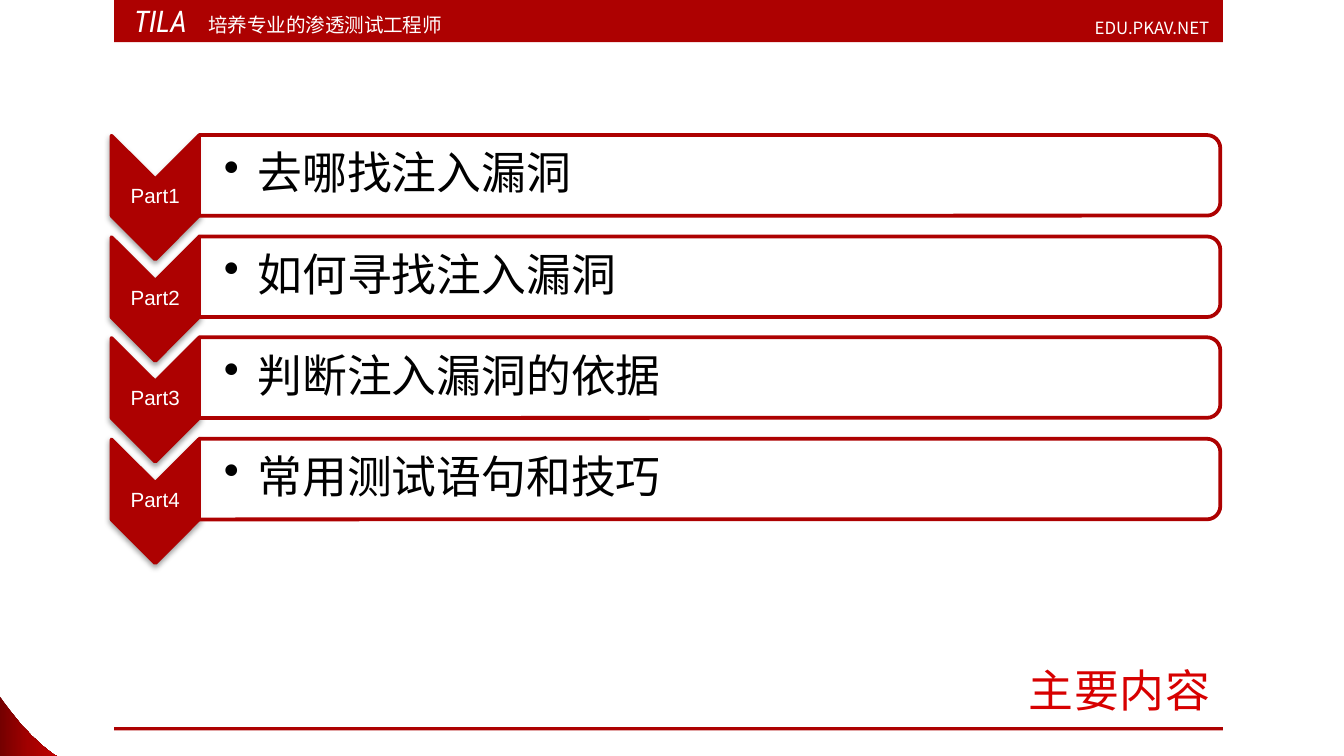
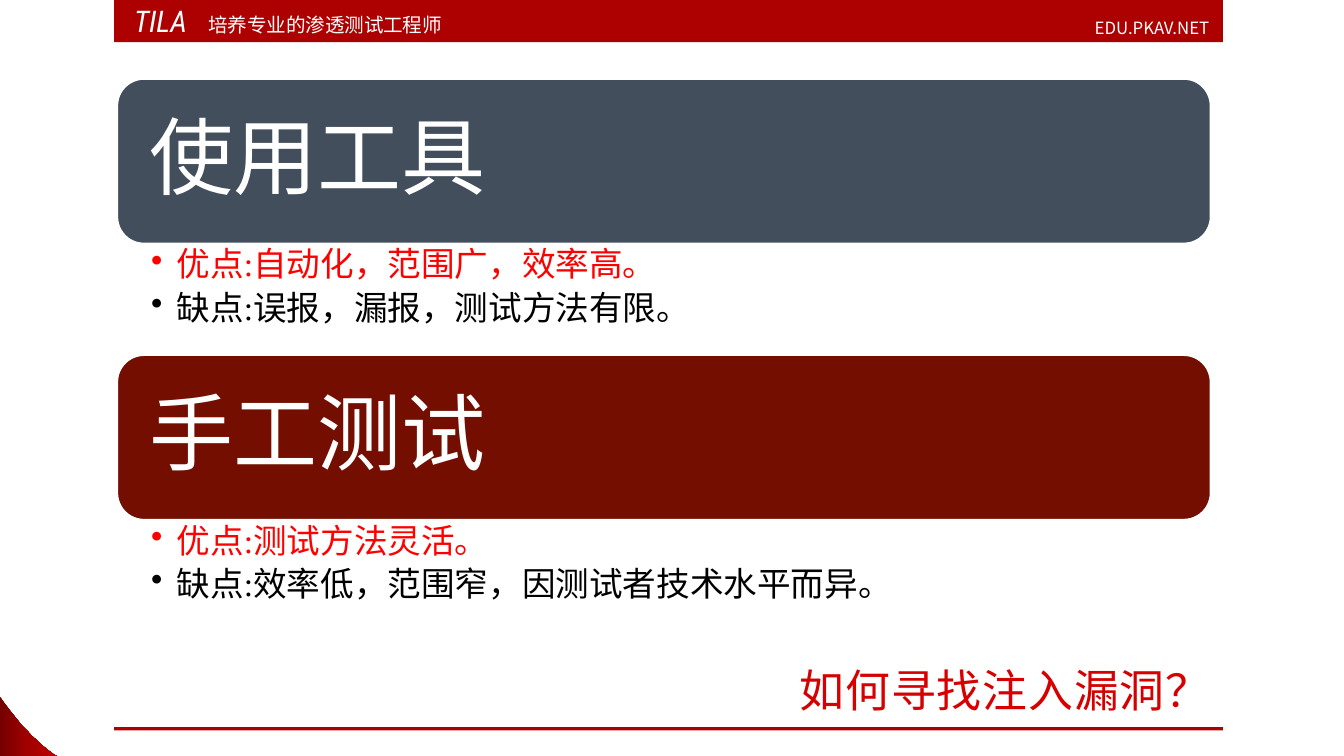
from lxml import etree
from pptx import Presentation
from pptx.dml.color import RGBColor
from pptx.enum.shapes import MSO_SHAPE
from pptx.enum.text import MSO_ANCHOR, MSO_AUTO_SIZE, PP_ALIGN
from pptx.oxml.ns import qn
from pptx.util import Emu, Pt

PX = 4572  # 200 px to the inch
RECT, ROUNDED = MSO_SHAPE.RECTANGLE, MSO_SHAPE.ROUNDED_RECTANGLE
CHEVRON, TWO_ROUNDED = MSO_SHAPE.CHEVRON, MSO_SHAPE.ROUND_2_SAME_RECTANGLE
TOP, MIDDLE, BOTTOM = MSO_ANCHOR.TOP, MSO_ANCHOR.MIDDLE, MSO_ANCHOR.BOTTOM
LEFT, CENTER, RIGHT = PP_ALIGN.LEFT, PP_ALIGN.CENTER, PP_ALIGN.RIGHT

RED, SLATE, MAROON = "AD0101", "424E5B", "730E00"
WHITE, INK, BRIGHT = "FFFFFF", "000000", "FF0000"
CORNER_STOPS = ("720000", "A20000", "C00000")
TITLE_STOPS = ("970000", "D70000", "FF0000")
SANS, SERIF, CJK, LOGO = "Arial", "Times New Roman", "Noto Sans CJK SC", "Roboto Condensed"
BULLET = "••"


def color(hex_code):
    return RGBColor.from_string(hex_code)


def add_node(parent, tag, **attributes):
    values = {name: str(value) for name, value in attributes.items()}
    return etree.SubElement(parent, qn(tag), values)


def fill_gradient(fill, owner, stops, degrees):
    """Give a shape or run an evenly spaced linear gradient."""
    fill.background()
    gradient = etree.Element(qn("a:gradFill"), rotWithShape="1")
    stop_list = add_node(gradient, "a:gsLst")
    for index, stop in enumerate(stops):
        node = add_node(stop_list, "a:gs", pos=index * 100000 // (len(stops) - 1))
        add_node(node, "a:srgbClr", val=stop)
    add_node(gradient, "a:lin", ang=degrees * 60000, scaled=0)
    owner.replace(owner.find(qn("a:noFill")), gradient)


class Painter:
    """Holds the deck, its style and the current page."""

    def __init__(self, width, height):
        self.deck = Presentation()
        self.deck.slide_width, self.deck.slide_height = Emu(width * PX), Emu(height * PX)
        self.page = None

    def new_page(self, title):
        self.page = self.deck.slides.add_slide(self.deck.slide_layouts[6])
        # Header band, footer rule and corner
        self.shape(RECT, (170, 0, 1650, 63), RED)
        self.shape(RECT, (170, 1082, 1650, 5), RED)
        self.corner()
        # Header wording
        self.text((284, 6, 520, 58), " 培养专业的渗透测试工程师", 10.5, anchor=BOTTOM)
        logo = self.text((180, -6, 134, 74), "TILA", 16, font=LOGO)
        logo.text_frame.word_wrap = False
        logo.text_frame.auto_size = MSO_AUTO_SIZE.SHAPE_TO_FIT_TEXT
        logo.text_frame.paragraphs[0].runs[0].font.italic = True
        self.text((1299, 8, 520, 58), "EDU.PKAV.NET", 9, font=CJK, align=RIGHT, anchor=BOTTOM)
        # Title
        box = self.text((337, 972, 1484, 104), title, 24, align=RIGHT, anchor=BOTTOM)
        span = box.text_frame.paragraphs[0].runs[0]
        properties = span.font._element
        properties.set("spc", "50")
        fill_gradient(span.font.fill, properties, TITLE_STOPS, 180)

    def shape(self, kind, frame, fill, line=None, rotation=0, opacity=100, shadow=False):
        shape = self.page.shapes.add_shape(kind, *(Emu(v * PX) for v in frame))
        shape.rotation = rotation
        shape.shadow.inherit = False
        shape.fill.solid()
        shape.fill.fore_color.rgb = color(fill)
        properties = shape._element.spPr
        if opacity < 100:
            paint = properties.find(qn("a:solidFill")).find(qn("a:srgbClr"))
            add_node(paint, "a:alpha", val=opacity * 1000)
        if line:
            shape.line.color.rgb = color(line)
            shape.line.width = Pt(2)
        else:
            shape.line.fill.background()
        if shadow:
            effect = add_node(properties.find(qn("a:effectLst")), "a:outerShdw",
                              blurRad=Pt(3.1), dist=Pt(1.6), dir=5400000, rotWithShape=0)
            add_node(add_node(effect, "a:srgbClr", val="000000"), "a:alpha", val=38000)
        return shape

    def corner(self):
        """Bottom-left corner whose slanted side follows a Bezier curve."""
        left, top, right, bottom = -2, 1034, 86, 1126
        curve = []
        for step in range(1, 17):
            t = step / 16
            weights = ((1 - t) ** 3 + 3 * t * (1 - t) ** 2, 3 * t * t * (1 - t), t ** 3)
            curve.append((sum(w * x for w, x in zip(weights, (right, 46, left))),
                          sum(w * y for w, y in zip(weights, (bottom, 1106, top)))))
        builder = self.page.shapes.build_freeform(left, top, scale=PX)
        builder.add_line_segments([(left, bottom), (right, bottom)] + curve, close=True)
        shape = builder.convert_to_shape()
        shape.shadow.inherit = False
        shape.line.fill.background()
        fill_gradient(shape.fill, shape._element.spPr, CORNER_STOPS, 0)

    def text(self, frame, lines, size, colors=(WHITE,), font=SANS, align=LEFT, anchor=TOP,
             insets=(20, 10, 20, 10), space_after=0, hanging=0):
        """Add a text box; colors cycle by line and hanging turns bullets on."""
        box = self.page.shapes.add_textbox(*(Emu(v * PX) for v in frame))
        body = box.text_frame
        body.word_wrap = True
        body.vertical_anchor = anchor
        (body.margin_left, body.margin_top,
         body.margin_right, body.margin_bottom) = (Emu(v * PX) for v in insets)
        body.text = lines
        for index, para in enumerate(body.paragraphs):
            para.alignment = align
            properties = para._p.get_or_add_pPr()
            if space_after:
                para.line_spacing = 0.9
                add_node(add_node(properties, "a:spcAft"), "a:spcPct", val=space_after * 1000)
            if hanging:
                para.level = 1
                properties.set("marL", str(hanging * PX))
                properties.set("indent", str(-hanging * PX))
                add_node(properties, "a:buChar", char=BULLET)
            for span in para.runs:
                span.font.size = Pt(size)
                span.font.name = font
                span.font.color.rgb = color(colors[index % len(colors)])
                add_node(span.font._element, "a:ea", typeface=CJK)
        return box


def contents_page(painter):
    painter.new_page("主要内容")
    topics = ("去哪找注入漏洞", "如何寻找注入漏洞", "判断注入漏洞的依据", "常用测试语句和技巧")
    for index, topic in enumerate(topics):
        drop = round(index * 150.6)
        # Part marker
        painter.shape(CHEVRON, (139, 229 + drop, 184, 130), RED, RED, rotation=90, shadow=True)
        painter.text((166, 265 + drop, 130, 56), f"Part{index + 1}", 11, align=CENTER,
                     anchor=MIDDLE, insets=(2, 2, 2, 2), space_after=35)
        # Topic bar
        painter.shape(TWO_ROUNDED, (996, drop - 499, 120, 1520), WHITE, RED,
                      rotation=90, opacity=90)
        painter.text((295, 207 + drop, 1516, 108), topic, 24, (INK,), anchor=MIDDLE,
                     insets=(38, 4, 4, 4), space_after=15, hanging=50)


def methods_page(painter):
    painter.new_page("如何寻找注入漏洞？")
    methods = (
        ("使用工具", SLATE, "优点:自动化，范围广，效率高。\n缺点:误报，漏报，测试方法有限。"),
        ("手工测试", MAROON, "优点:测试方法灵活。\n缺点:效率低，范围窄，因测试者技术水平而异。"),
    )
    for index, (name, fill, points) in enumerate(methods):
        top = 116 + index * 411
        # Method banner
        painter.shape(ROUNDED, (173, top, 1630, 248), fill, WHITE)
        painter.text((185, top + 12, 1606, 224), name, 45, font=SERIF, anchor=MIDDLE,
                     insets=(38, 38, 38, 38), space_after=35)
        # Strength and weakness
        painter.text((173, top + 247, 1630, 162), points, 18, (BRIGHT, INK), font=SERIF,
                     insets=(52, 6, 28, 6), space_after=20, hanging=38)


def main():
    painter = Painter(2000, 1125)
    contents_page(painter)
    methods_page(painter)
    painter.deck.save("out.pptx")


if __name__ == "__main__":
    main()
